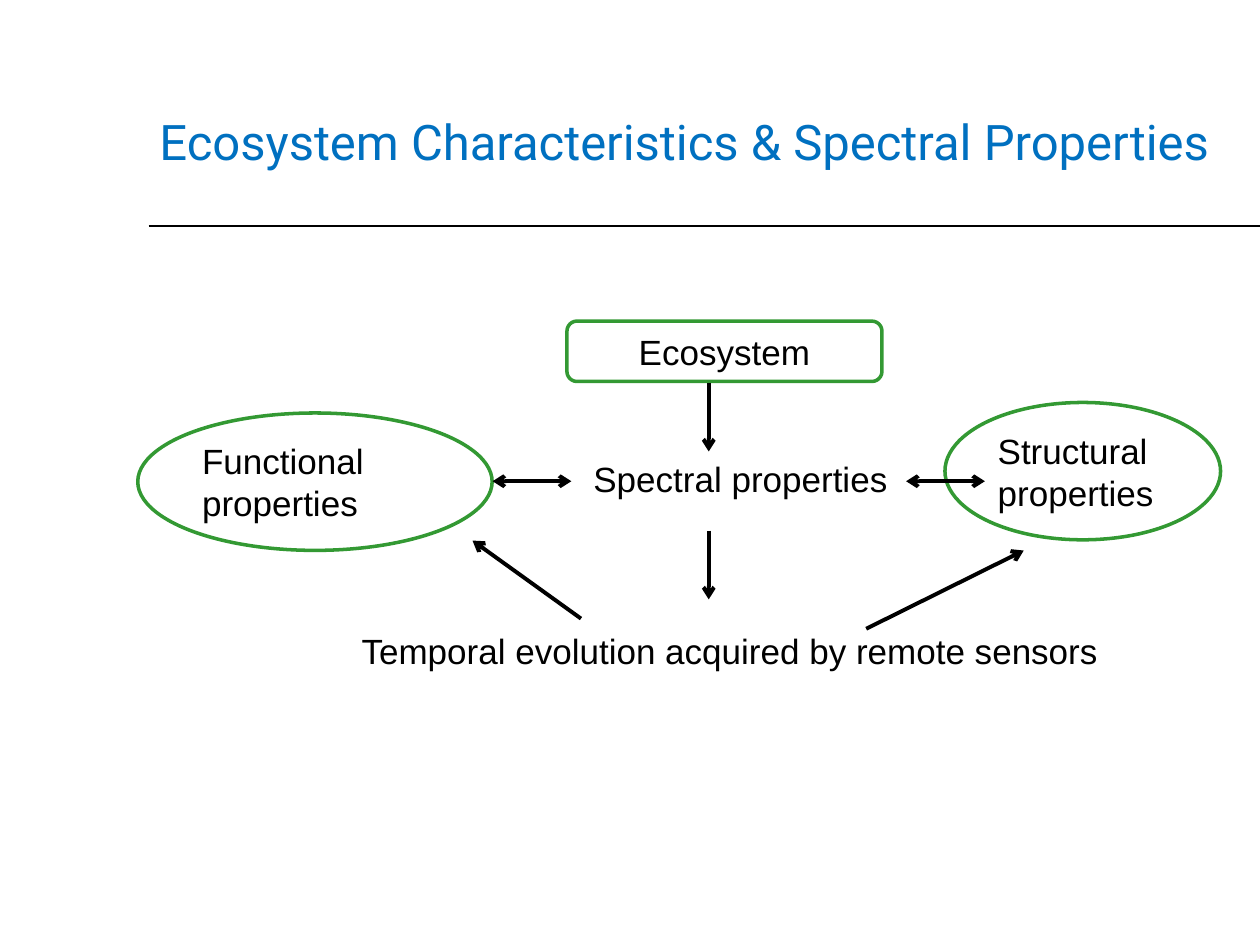
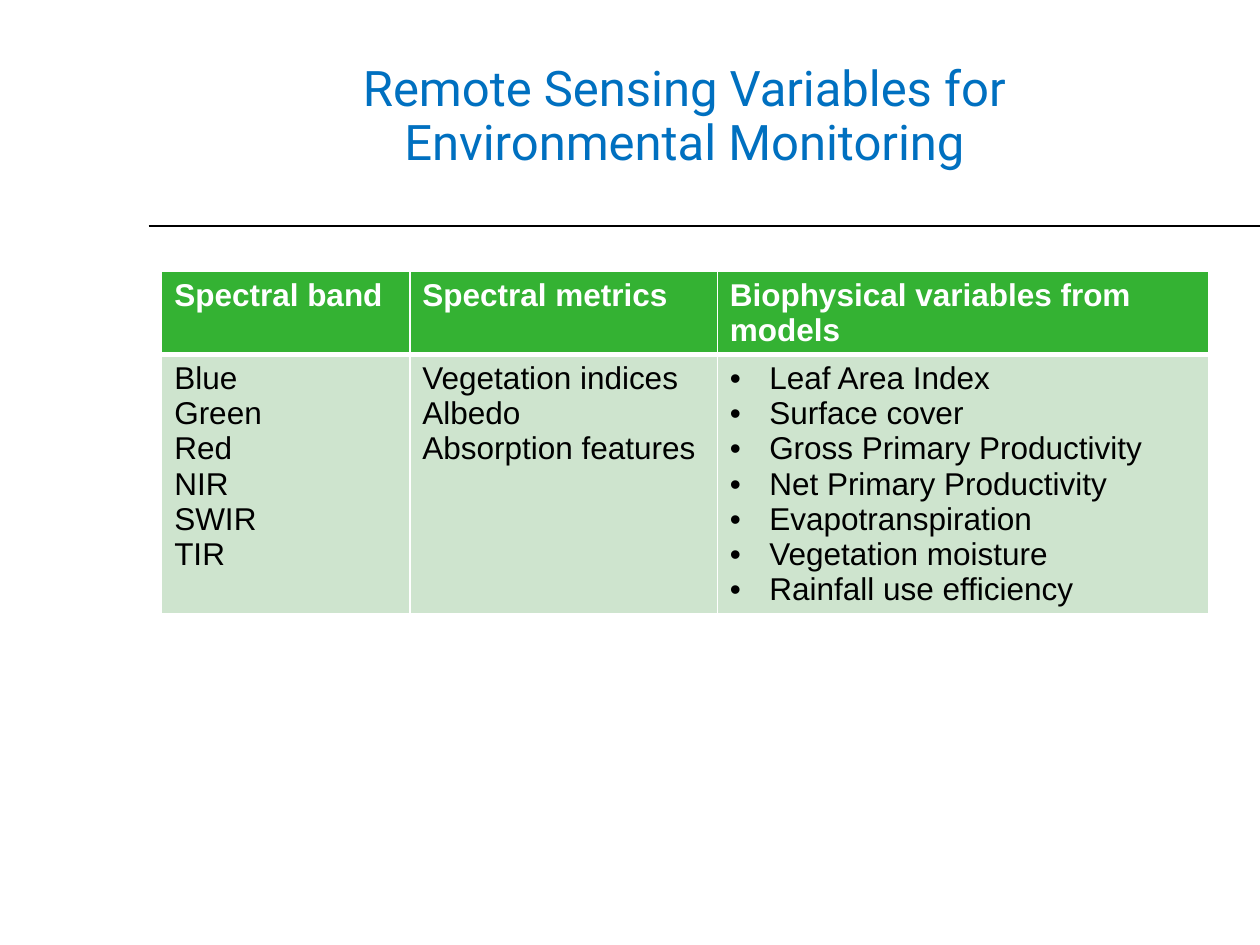
from lxml.etree import SubElement
from pptx import Presentation
from pptx.dml.color import RGBColor
from pptx.enum.shapes import MSO_CONNECTOR, MSO_SHAPE
from pptx.enum.text import MSO_ANCHOR, MSO_AUTO_SIZE, PP_ALIGN
from pptx.oxml.ns import qn
from pptx.util import Pt

BLACK, WHITE, BLUE = "000000", "FFFFFF", "0070C0"
OUTLINE_GREEN, HEADER_GREEN, BODY_GREEN = "339933", "34B233", "CEE4CE"


def color(hex_value):
    return RGBColor.from_string(hex_value)


class Deck:
    """Holds the shared style and draws elements on the current slide."""

    text_font, title_font = "Arial", "Roboto"

    def __init__(self):
        self.presentation = Presentation()
        self.presentation.slide_width = Pt(720)
        self.presentation.slide_height = Pt(540)
        self.slide = None

    def new_slide(self, *title_lines):
        layout = self.presentation.slide_layouts[5]
        self.slide = self.presentation.slides.add_slide(layout)
        self.arrow((85, 129), (720, 129), width=1)
        self.title(title_lines)

    def title(self, lines):
        heading = self.slide.shapes.title
        heading.left, heading.top = Pt(85), Pt(39.6)
        heading.width, heading.height = Pt(612), Pt(57.6)
        frame = heading.text_frame
        frame.margin_left = frame.margin_right = frame.margin_top = frame.margin_bottom = 0
        frame.vertical_anchor = MSO_ANCHOR.BOTTOM
        frame.auto_size = MSO_AUTO_SIZE.NONE
        frame.word_wrap = True
        self.add_lines(frame, lines, 28, BLUE, self.title_font, align=PP_ALIGN.CENTER)
        for index, paragraph in enumerate(frame.paragraphs):
            paragraph.line_spacing = Pt(25)
            paragraph.space_before = Pt(5.6 if index else 0)

    def add_lines(self, frame, lines, size, ink=BLACK, font=text_font, bold=False,
                  align=PP_ALIGN.LEFT, bulleted=False):
        for index, line in enumerate(lines):
            paragraph = frame.add_paragraph() if index else frame.paragraphs[0]
            paragraph.alignment = align
            if bulleted:
                self.bullet(paragraph)
            run = paragraph.add_run()
            run.text = line
            run.font.name, run.font.size, run.font.bold = font, Pt(size), bold
            run.font.color.rgb = color(ink)

    def bullet(self, paragraph, indent=22.5):
        properties = paragraph._p.get_or_add_pPr()
        properties.set("marL", str(Pt(indent)))
        properties.set("indent", str(-Pt(indent)))
        SubElement(properties, qn("a:buFont"), typeface="Arial")
        SubElement(properties, qn("a:buChar"), char="•")

    def label(self, text, left, top, width, height):
        frame = self.slide.shapes.add_textbox(Pt(left), Pt(top), Pt(width), Pt(height)).text_frame
        frame.word_wrap = False
        frame.auto_size = MSO_AUTO_SIZE.SHAPE_TO_FIT_TEXT
        self.add_lines(frame, [text], 20)

    def node(self, preset, text, left, top, width, height, align=PP_ALIGN.LEFT):
        node = self.slide.shapes.add_shape(preset, Pt(left), Pt(top), Pt(width), Pt(height))
        node.shadow.inherit = False
        node.fill.solid()
        node.fill.fore_color.rgb = color(WHITE)
        node.line.color.rgb = color(OUTLINE_GREEN)
        node.line.width = Pt(2)
        node.text_frame.word_wrap = True
        self.add_lines(node.text_frame, [text], 20, align=align)

    def arrow(self, start, end, heads=(), width=2.25):
        arrow = self.slide.shapes.add_connector(
            MSO_CONNECTOR.STRAIGHT, *map(Pt, start), *map(Pt, end))
        arrow.line.color.rgb = color(BLACK)
        arrow.line.width = Pt(width)
        for head in heads:
            SubElement(arrow.line._get_or_add_ln(), qn(f"a:{head}"), type="arrow")
        SubElement(arrow._element.spPr, qn("a:effectLst"))

    def border(self, cell, bottom_width):
        properties = cell._tc.get_or_add_tcPr()
        for side, width in (("L", 1), ("R", 1), ("T", 1), ("B", bottom_width)):
            edge = SubElement(properties, qn(f"a:ln{side}"), w=str(Pt(width)))
            SubElement(SubElement(edge, qn("a:solidFill")), qn("a:srgbClr"), val=WHITE)

    def table(self, columns, left, top, widths, heights):
        table = self.slide.shapes.add_table(
            2, len(columns), Pt(left), Pt(top), Pt(sum(widths)), Pt(sum(heights))).table
        for row, height in zip(table.rows, heights):
            row.height = Pt(height)
        for index, (heading, entries, bulleted) in enumerate(columns):
            table.columns[index].width = Pt(widths[index])
            header, body = table.cell(0, index), table.cell(1, index)
            for cell, fill, bottom_width in ((header, HEADER_GREEN, 3), (body, BODY_GREEN, 1)):
                self.border(cell, bottom_width)
                cell.fill.solid()
                cell.fill.fore_color.rgb = color(fill)
            self.add_lines(header.text_frame, [heading], 18, WHITE, bold=True)
            self.add_lines(body.text_frame, entries, 18, bulleted=bulleted)


def ecosystem_slide(deck):
    deck.new_slide("Ecosystem Characteristics & Spectral Properties")
    deck.label("Spectral properties", 332, 257.8, 183, 31.5)
    deck.node(MSO_SHAPE.OVAL, "Functional properties", 78.75, 236, 202.5, 78.5)
    deck.node(MSO_SHAPE.OVAL, "Structural properties", 540, 230, 157.5, 78.5)
    deck.node(MSO_SHAPE.ROUNDED_RECTANGLE, "Ecosystem", 324, 183.5, 180, 34.5, PP_ALIGN.CENTER)
    deck.label("Temporal evolution acquired by remote sensors", 199.5, 356, 436.5, 31.5)
    for top in (218.8, 303.3):
        deck.arrow((405, top), (405, top + 39.2), ["tailEnd"])
    for left in (281.5, 517.8):
        deck.arrow((left, 275), (left + 45, 275), ["headEnd", "tailEnd"])
    deck.arrow((495, 359.3), (585, 314.6), ["tailEnd"])
    deck.arrow((332, 353.5), (270, 308.9), ["tailEnd"])


def variables_slide(deck):
    deck.new_slide("Remote Sensing Variables for", "Environmental Monitoring")
    columns = [
        ("Spectral band", ["Blue", "Green", "Red", "NIR", "SWIR", "TIR"], False),
        ("Spectral metrics", ["Vegetation indices", "Albedo", "Absorption features"], False),
        ("Biophysical variables from models",
         ["Leaf Area Index", "Surface cover", "Gross Primary Productivity",
          "Net Primary Productivity", "Evapotranspiration", "Vegetation moisture",
          "Rainfall use efficiency"], True),
    ]
    deck.table(columns, 92.4, 155, [141.8, 175.7, 280.8], [47, 148])


def main():
    deck = Deck()
    ecosystem_slide(deck)
    variables_slide(deck)
    deck.presentation.save("out.pptx")


if __name__ == "__main__":
    main()
